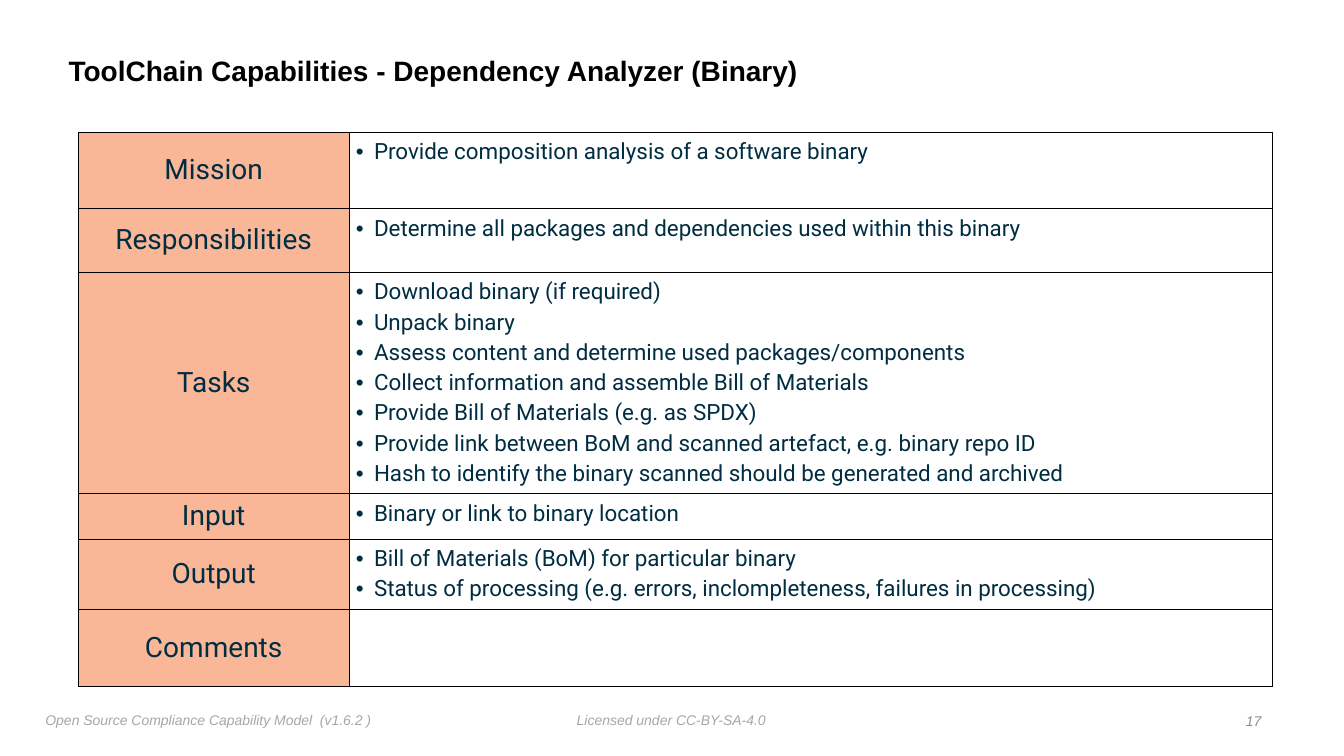
from lxml import etree
from pptx import Presentation
from pptx import util as u
from pptx.dml.color import RGBColor
from pptx.enum import text
from pptx.oxml.ns import qn

NAVY, PEACH, WHITE, BLACK = "002D41", "FAB798", "FFFFFF", "000000"
FOOTER_GREY, NUMBER_GREY = "A7A7A7", "888C91"
LEFT, CENTER, RIGHT = text.PP_ALIGN.LEFT, text.PP_ALIGN.CENTER, text.PP_ALIGN.RIGHT
TOP, MIDDLE = text.MSO_ANCHOR.TOP, text.MSO_ANCHOR.MIDDLE
SIDES = ("left", "top", "right", "bottom")

TITLE = "ToolChain Capabilities - Dependency Analyzer (Binary)"
COLUMNS = (2.68, 9.16)
CAPABILITIES = [
    ("Mission", 0.76, ["Provide composition analysis of a software binary"]),
    ("Responsibilities", 0.63,
     ["Determine all packages and dependencies used within this binary"]),
    ("Tasks", 2.19, [
        "Download binary (if required)",
        "Unpack binary",
        "Assess content and determine used packages/components",
        "Collect information and assemble Bill of Materials",
        "Provide Bill of Materials (e.g. as SPDX)",
        "Provide link between BoM and scanned artefact, e.g. binary repo ID",
        "Hash to identify the binary scanned should be generated and archived",
    ]),
    ("Input", 0.45, ["Binary or link to binary location"]),
    ("Output", 0.7, [
        "Bill of Materials (BoM) for particular binary",
        "Status of processing (e.g. errors, inclompleteness, failures in processing)",
    ]),
    ("Comments", 0.76, []),
]
FOOTERS = [
    ((5.67, 7.01, 1.99, 0.25), "Licensed under CC-BY-SA-4.0", FOOTER_GREY, LEFT, TOP),
    ((0.4, 7.01, 3.41, 0.27), "Open Source Compliance Capability Model  (v1.6.2 )",
     FOOTER_GREY, LEFT, TOP),
    ((12.16, 7.03, 0.4, 0.25), "17", NUMBER_GREY, RIGHT, MIDDLE),
]


def color(value):
    return RGBColor.from_string(value)


def apply(target, values):
    for name, value in values.items():
        setattr(target, name, value)


def set_font(paragraph, size, face, shade, **values):
    apply(paragraph.font, {"size": u.Pt(size), "name": face, **values})
    paragraph.font.color.rgb = color(shade)


def set_margins(target, inches):
    apply(target, {f"margin_{side}": u.Inches(inches) for side in SIDES})


def add_bullet(paragraph):
    properties = paragraph._p.get_or_add_pPr()
    properties.set("marL", str(u.Inches(0.18)))
    properties.set("indent", str(-u.Inches(0.18)))
    etree.SubElement(properties, qn("a:buFont")).set("typeface", "Arial")
    etree.SubElement(properties, qn("a:buChar")).set("char", "•")


def format_cell(cell, shade, margin, anchor):
    cell.fill.solid()
    cell.fill.fore_color.rgb = color(shade)
    set_margins(cell, margin)
    cell.vertical_anchor = anchor
    properties = cell._tc.get_or_add_tcPr()
    for position, side in enumerate("LRTB"):
        border = etree.Element(qn(f"a:ln{side}"), w=str(u.Pt(0.5)))
        fill = etree.SubElement(border, qn("a:solidFill"))
        etree.SubElement(fill, qn("a:srgbClr")).set("val", BLACK)
        properties.insert(position, border)


def place_title(slide, box):
    title = slide.shapes.title
    apply(title, dict(zip(("left", "top", "width", "height"), map(u.Inches, box))))
    frame = title.text_frame
    frame.text = TITLE
    set_margins(frame, 0.05)
    apply(frame, {"vertical_anchor": MIDDLE, "word_wrap": True,
                  "auto_size": text.MSO_AUTO_SIZE.NONE})
    heading = frame.paragraphs[0]
    apply(heading, {"alignment": LEFT, "line_spacing": 0.9})
    set_font(heading, 20, "Arial", BLACK, bold=True)


def fill_details(cell, details):
    frame = cell.text_frame
    for index, detail in enumerate(details):
        paragraph = frame.add_paragraph() if index else frame.paragraphs[0]
        paragraph.text = detail
        if index:
            paragraph.space_before = u.Pt(3)
        add_bullet(paragraph)
        set_font(paragraph, 16, "Roboto", NAVY)


def place_capabilities(slide, left, top):
    height = sum(row_height for _, row_height, _ in CAPABILITIES)
    table = slide.shapes.add_table(
        len(CAPABILITIES), len(COLUMNS),
        *map(u.Inches, (left, top, sum(COLUMNS), height))).table
    apply(table, {"first_row": False, "horz_banding": False})
    for column, width in zip(table.columns, COLUMNS):
        column.width = u.Inches(width)
    for index, (label, row_height, details) in enumerate(CAPABILITIES):
        table.rows[index].height = u.Inches(row_height)
        label_cell, detail_cell = table.cell(index, 0), table.cell(index, 1)
        format_cell(label_cell, PEACH, 0, MIDDLE)
        format_cell(detail_cell, WHITE, 0.07, TOP)
        label_cell.text = label
        heading = label_cell.text_frame.paragraphs[0]
        heading.alignment = CENTER
        set_font(heading, 20, "Roboto", NAVY)
        fill_details(detail_cell, details)


def place_footer(slide, box, wording, shade, alignment, anchor):
    frame = slide.shapes.add_textbox(*map(u.Inches, box)).text_frame
    frame.text = wording
    set_margins(frame, 0.05)
    apply(frame, {"word_wrap": False, "vertical_anchor": anchor})
    line = frame.paragraphs[0]
    line.alignment = alignment
    set_font(line, 10, "Arial", shade, italic=True)


def main():
    deck = Presentation()
    apply(deck, {"slide_width": u.Inches(13.33), "slide_height": u.Inches(7.5)})
    slide = deck.slides.add_slide(deck.slide_layouts[5])
    place_title(slide, (0.63, 0.39, 10.75, 0.65))
    place_capabilities(slide, 0.78, 1.31)
    for footer in FOOTERS:
        place_footer(slide, *footer)
    deck.save("out.pptx")


if __name__ == "__main__":
    main()
